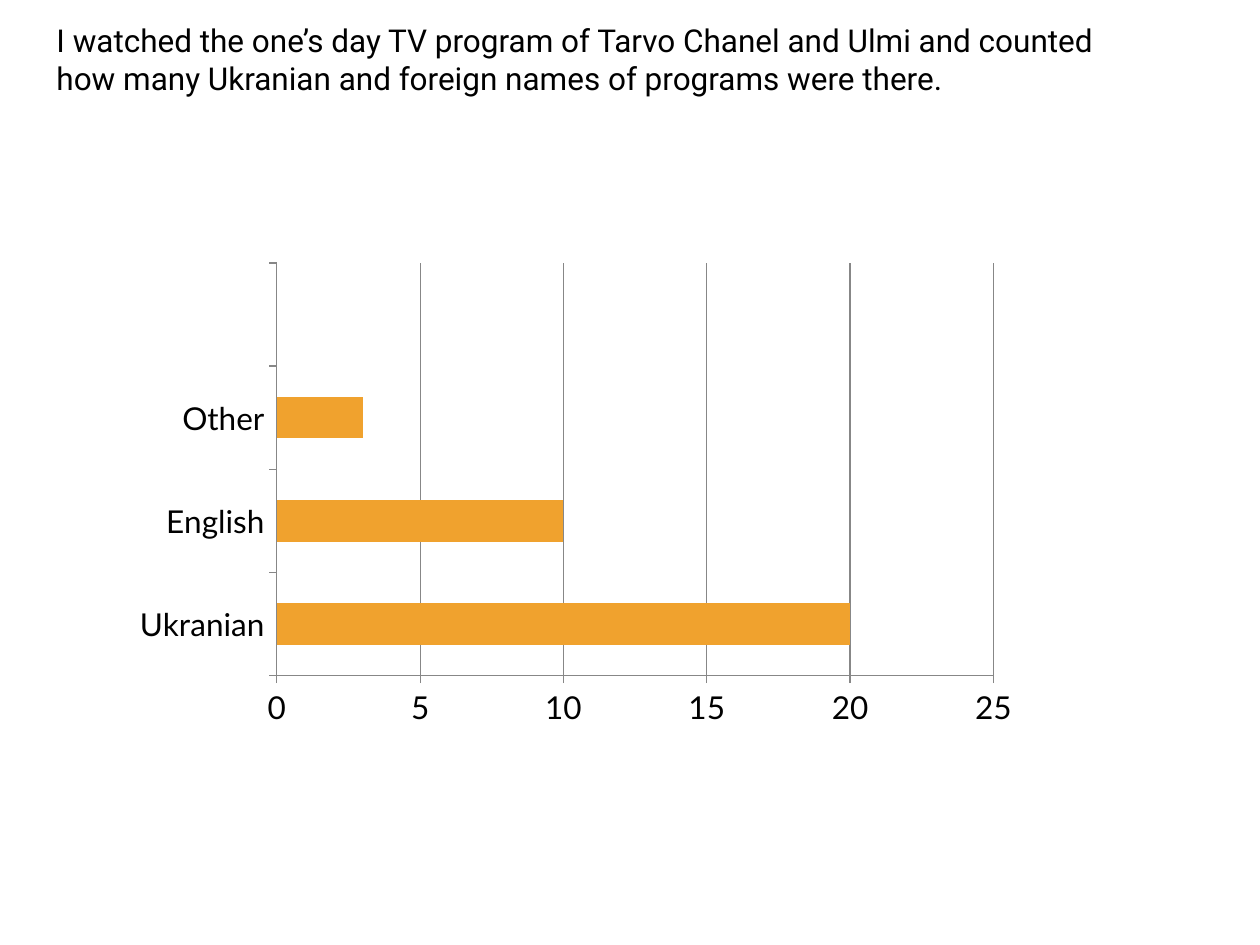
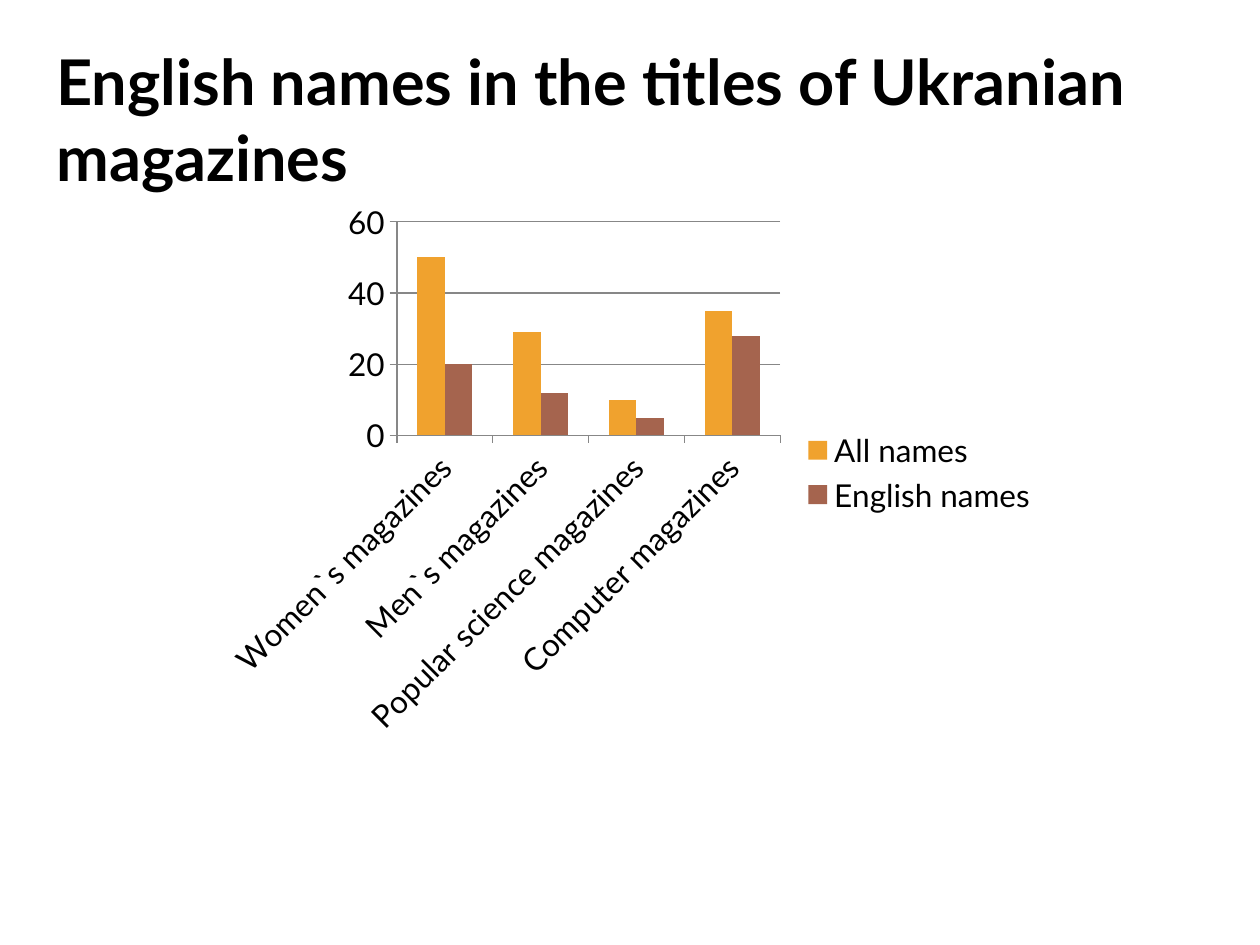
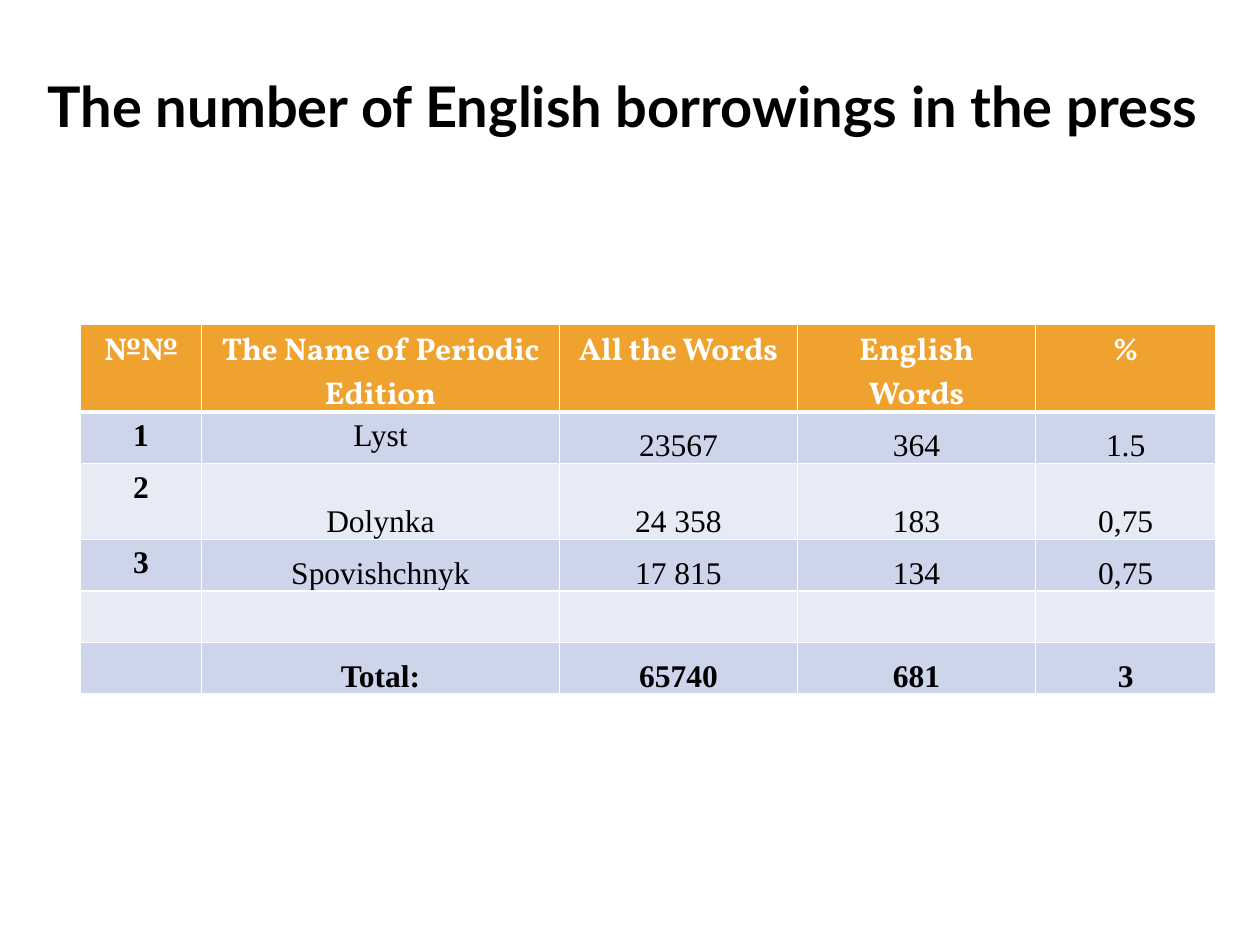
from lxml import etree
from pptx import Presentation
from pptx import util as u
from pptx.chart.data import CategoryChartData
from pptx.dml.color import RGBColor
from pptx.enum import chart as ch, text
from pptx.oxml.ns import qn

COLORS = {"text": "000000", "white": "FFFFFF", "orange": "F0A22E", "brown": "A5644E",
          "grid": "878787", "band": "CCD5EA", "light": "E7EBF5"}
FONT = "Lato"

TITLES = [
    dict(words="I watched the one’s day TV program of Tarvo Chanel and Ulmi and counted "
               "how many Ukranian and foreign names of programs were there.",
         box=(0.35, 0.12, 8.43, 1.01), size=18, font="Roboto", bold=False),
    dict(words="English names in the titles of Ukranian magazines",
         box=(0.35, 0.29, 9.53, 1.31), size=36),
    dict(words="The number of English borrowings in the press",
         box=(0.28, 0.52, 9.72, 0.64), size=32),
]

PROGRAMS = dict(
    kind=ch.XL_CHART_TYPE.BAR_CLUSTERED, box=(1.01, 1.47, 7.11, 4.35),
    cats=["Ukranian", "English", "Other", ""],
    series=[("Series 1", [20, 10, 3, None], "orange")],
    plot=(0.167, 0.142, 0.8, 0.753))
MAGAZINES = dict(
    kind=ch.XL_CHART_TYPE.COLUMN_CLUSTERED, box=(1.67, 1.53, 6.67, 4.44),
    cats=["Women`s magazines", "Men`s magazines", "Popular science magazines", "Computer magazines"],
    series=[("All names", [50, 29, 10, 35], "orange"),
            ("English names", [20, 12, 5, 28], "brown")],
    plot=(0.222, 0.052, 0.456, 0.382), legend=True, label_angle=-45)

PRESS = [
    ["№№", "The Name of Periodic Edition", "All the Words", "English Words", "%"],
    ["1", "Lyst", "23567", "364", "1.5"],
    ["2", "Dolynka", "24 358", "183", "0,75"],
    ["3", "Spovishchnyk", "17 815", "134", "0,75"],
    ["", "", "", "", ""],
    ["", "Total:", "65740", "681", "3"],
]
PRESS_BOX = (0.64, 2.57, 9, 2.93)
COL_WIDTHS = [0.96, 2.84, 1.89, 1.89, 1.43]
ROW_HEIGHTS = [0.7, 0.41, 0.6, 0.41, 0.41, 0.41]
TOP_CELLS = {(1, 1)}


def color(name):
    return RGBColor.from_string(COLORS[name])


def inches(box):
    return [u.Inches(n) for n in box]


def style(font, size, name=FONT, fill="text", bold=False):
    font.size, font.name, font.bold = u.Pt(size), name, bold
    font.color.rgb = color(fill)


def add_title(s, words, box, size, font=FONT, bold=True):
    tf = s.shapes.add_textbox(*inches(box)).text_frame
    tf.word_wrap = True
    tf.auto_size = text.MSO_AUTO_SIZE.SHAPE_TO_FIT_TEXT
    r = tf.paragraphs[0].add_run()
    r.text = words
    style(r.font, size, font, bold=bold)


def place_plot(chart, plot):
    area = chart._chartSpace.chart.plotArea
    for old in area.findall(qn("c:layout")):
        area.remove(old)
    layout = etree.Element(qn("c:layout"))
    manual = etree.SubElement(layout, qn("c:manualLayout"))
    values = ["inner", "edge", "edge", *plot]
    for tag, val in zip(["layoutTarget", "xMode", "yMode", "x", "y", "w", "h"], values):
        etree.SubElement(manual, qn(f"c:{tag}"), val=str(val))
    area.insert(0, layout)


def add_chart(s, kind, box, cats, series, plot, legend=False, label_angle=None):
    data = CategoryChartData()
    data.categories = cats
    for name, vals, _ in series:
        data.add_series(name, vals)
    chart = s.shapes.add_chart(kind, *inches(box), data).chart
    style(chart.font, 18)
    chart.has_title = False
    chart.has_legend = legend
    if legend:
        chart.legend.position = ch.XL_LEGEND_POSITION.RIGHT
        chart.legend.include_in_layout = False
    bars = chart.plots[0]
    bars.gap_width, bars.overlap, bars.vary_by_categories = 150, 0, False
    for ser, (_, _, fill) in zip(bars.series, series):
        ser.format.fill.solid()
        ser.format.fill.fore_color.rgb = color(fill)
    cat, val = chart.category_axis, chart.value_axis
    val.has_major_gridlines = True
    for line in (cat.format.line, val.format.line, val.major_gridlines.format.line):
        line.color.rgb = color("grid")
        line.width = u.Pt(0.75)
    for axis in (cat, val):
        axis.major_tick_mark = ch.XL_TICK_MARK.OUTSIDE
        style(axis.tick_labels.font, 18)
    if label_angle:
        cat._element.find(qn("c:txPr")).find(qn("a:bodyPr")).set("rot", str(label_angle * 60000))
    place_plot(chart, plot)


def add_border(cell, side, width):
    ln = etree.SubElement(cell._tc.get_or_add_tcPr(), qn(f"a:ln{side}"), w=str(u.Pt(width)))
    fill = etree.SubElement(ln, qn("a:solidFill"))
    etree.SubElement(fill, qn("a:srgbClr"), val=COLORS["white"])


def fill_cell(cell, words, row, col):
    head = row == 0
    for side in "LRTB":
        thick = (row, side) in {(0, "B"), (1, "T")}
        add_border(cell, side, 3 if thick else 1)
    cell.fill.solid()
    cell.fill.fore_color.rgb = color("orange" if head else "band" if row % 2 else "light")
    on_top = words and (head or col == 0 or (row, col) in TOP_CELLS)
    if not on_top:
        cell.vertical_anchor = text.MSO_ANCHOR.BOTTOM
    cell.margin_left = cell.margin_right = u.Inches(0.1 if on_top else 0)
    cell.margin_top = cell.margin_bottom = u.Inches(0.05 if on_top else 0)
    if words:
        p = cell.text_frame.paragraphs[0]
        p.alignment = text.PP_ALIGN.CENTER
        r = p.add_run()
        r.text = words
        style(r.font, 18, "Vollkorn" if head else "Times New Roman", "white" if head else "text",
              head or col == 0 or row == len(PRESS) - 1)


def add_press_table(s):
    table = s.shapes.add_table(len(PRESS), len(COL_WIDTHS), *inches(PRESS_BOX)).table
    for col, width in zip(table.columns, COL_WIDTHS):
        col.width = u.Inches(width)
    for row, height in zip(table.rows, ROW_HEIGHTS):
        row.height = u.Inches(height)
    for i, row in enumerate(PRESS):
        for j, words in enumerate(row):
            fill_cell(table.cell(i, j), words, i, j)


def main():
    prs = Presentation()
    prs.slide_width, prs.slide_height = u.Inches(10), u.Inches(7.5)
    slides = [prs.slides.add_slide(prs.slide_layouts[6]) for _ in TITLES]
    for s, title in zip(slides, TITLES):
        add_title(s, **title)
    add_chart(slides[0], **PROGRAMS)
    add_chart(slides[1], **MAGAZINES)
    add_press_table(slides[2])
    prs.save("out.pptx")


if __name__ == "__main__":
    main()
